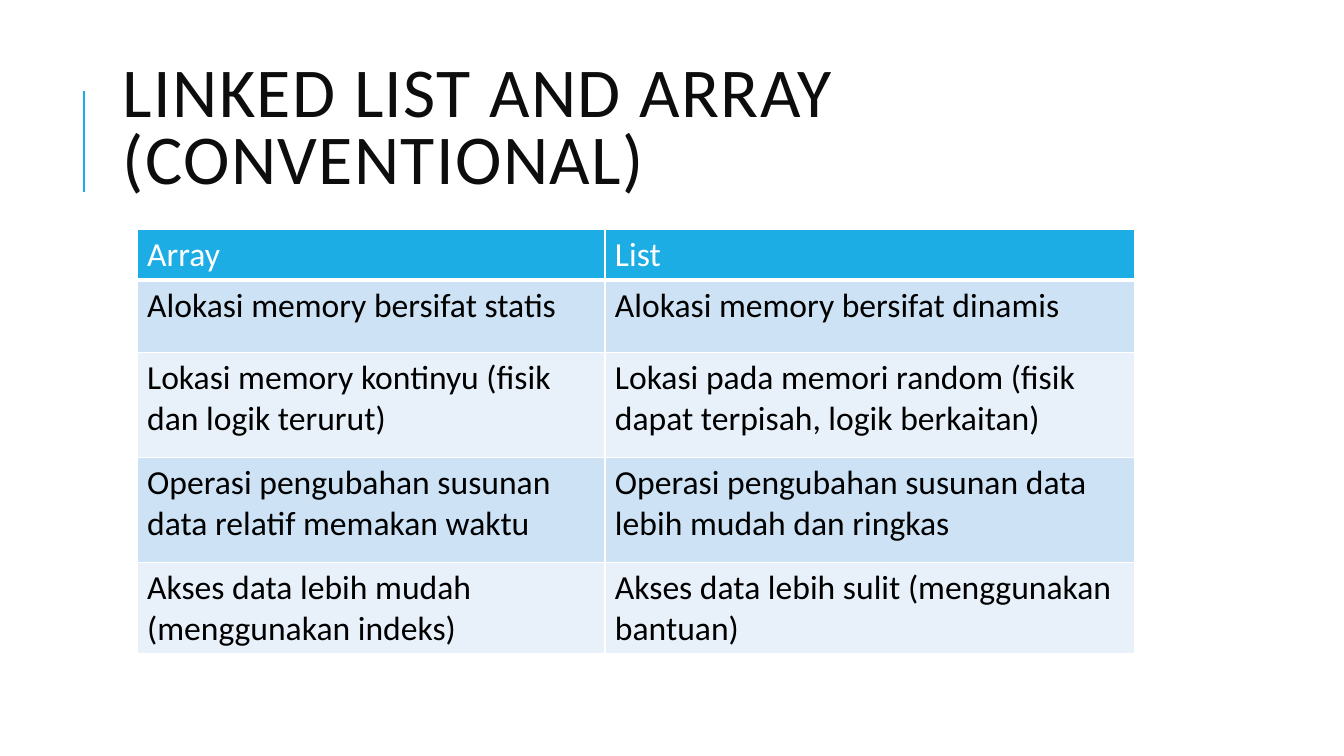
from pptx import Presentation
from pptx.dml.color import RGBColor
from pptx.enum.shapes import MSO_CONNECTOR
from pptx.enum.text import MSO_ANCHOR, PP_ALIGN
from pptx.oxml.ns import qn
from pptx.util import Inches, Pt
from lxml.etree import SubElement

# Content
TITLE = "LINKED LIST AND ARRAY (CONVENTIONAL)"
ROWS = [
    ("Array", "List"),
    ("Alokasi memory bersifat statis", "Alokasi memory bersifat dinamis"),
    ("Lokasi memory kontinyu (fisik dan logik terurut)",
     "Lokasi pada memori random (fisik dapat terpisah, logik berkaitan)"),
    ("Operasi pengubahan susunan data relatif memakan waktu",
     "Operasi pengubahan susunan data lebih mudah dan ringkas"),
    ("Akses data lebih mudah (menggunakan indeks)",
     "Akses data lebih sulit (menggunakan bantuan)"),
]
COL_WIDTHS = (4.64, 5.25)
ROW_HEIGHTS = (0.48, 0.72, 1.04, 1.04, 0.86)

# Theme
THEME = {
    "accent": "1CADE4", "bands": ("E8F1FA", "CDE3F5"), "border": "FFFFFF",
    "title": {"name": "Calibri", "size": Pt(50), "color": "0D0D0D"},
    "header": {"name": "Calibri", "size": Pt(24), "bold": False, "color": "FFFFFF"},
    "body": {"name": "Calibri", "size": Pt(24), "bold": False, "color": "000000"},
}


def write(tf, text, style):
    p = tf.paragraphs[0]
    p.alignment = PP_ALIGN.LEFT
    r = p.add_run()
    r.text = text
    for key, value in style.items():
        if key == "color":
            r.font.color.rgb = RGBColor.from_string(value)
        else:
            setattr(r.font, key, value)
    return p, r


def set_borders(cell, widths):
    tcPr = cell._tc.get_or_add_tcPr()
    for i, (side, width) in enumerate(widths.items()):
        ln = tcPr.makeelement(qn(f"a:ln{side}"), {"w": str(Pt(width))})
        fill = SubElement(ln, qn("a:solidFill"))
        SubElement(fill, qn("a:srgbClr"), val=THEME["border"])
        tcPr.insert(i, ln)  # borders precede the fill


prs = Presentation()
prs.slide_width, prs.slide_height = Inches(13.33), Inches(7.5)
s = prs.slides.add_slide(prs.slide_layouts[6])

# Accent line beside the title
line = s.shapes.add_connector(MSO_CONNECTOR.STRAIGHT, Inches(0.83), Inches(1.9),
                              Inches(0.83), Inches(0.9))
line.line.color.rgb = RGBColor.from_string(THEME["accent"])
line.line.width = Pt(1.5)
SubElement(line._element.spPr, qn("a:effectLst"))

# Title
sp = s.shapes.add_textbox(Inches(1.12), Inches(0.64), Inches(10.63), Inches(1.32))
tf = sp.text_frame
tf.word_wrap = True
tf.vertical_anchor = MSO_ANCHOR.MIDDLE
p, r = write(tf, TITLE, THEME["title"])
p.line_spacing = 0.8
r.font._element.set("spc", "100")

# Comparison table
table = s.shapes.add_table(len(ROWS), len(COL_WIDTHS), Inches(1.36), Inches(2.28),
                           Inches(sum(COL_WIDTHS)), Inches(sum(ROW_HEIGHTS))).table
for column, width in zip(table.columns, COL_WIDTHS):
    column.width = Inches(width)
for i, (row, height, texts) in enumerate(zip(table.rows, ROW_HEIGHTS, ROWS)):
    row.height = Inches(height)
    fill = THEME["bands"][i % 2] if i else THEME["accent"]
    for cell, text in zip(row.cells, texts):
        write(cell.text_frame, text, THEME["body" if i else "header"])
        cell.fill.solid()
        cell.fill.fore_color.rgb = RGBColor.from_string(fill)
        set_borders(cell, {"L": 1, "R": 1, "T": 3 if i == 1 else 1,
                           "B": 1 if i else 3})

prs.save("out.pptx")
